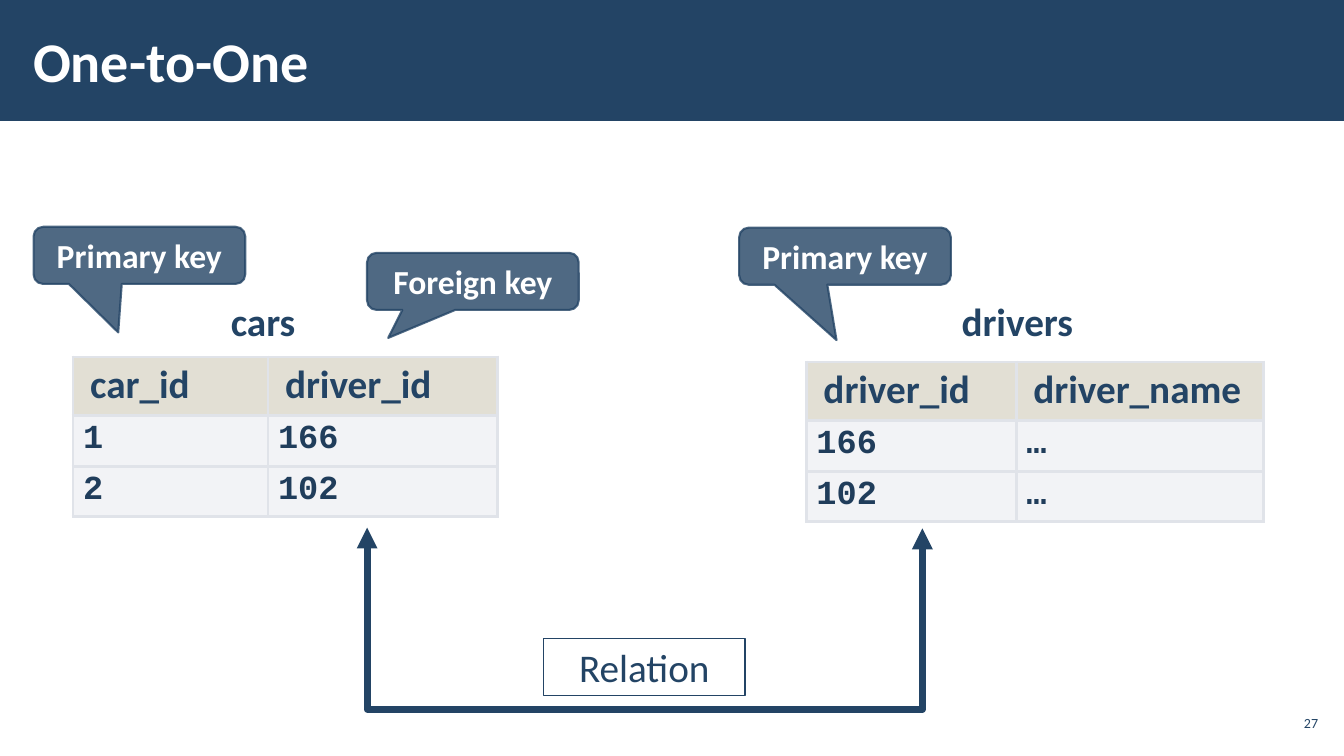
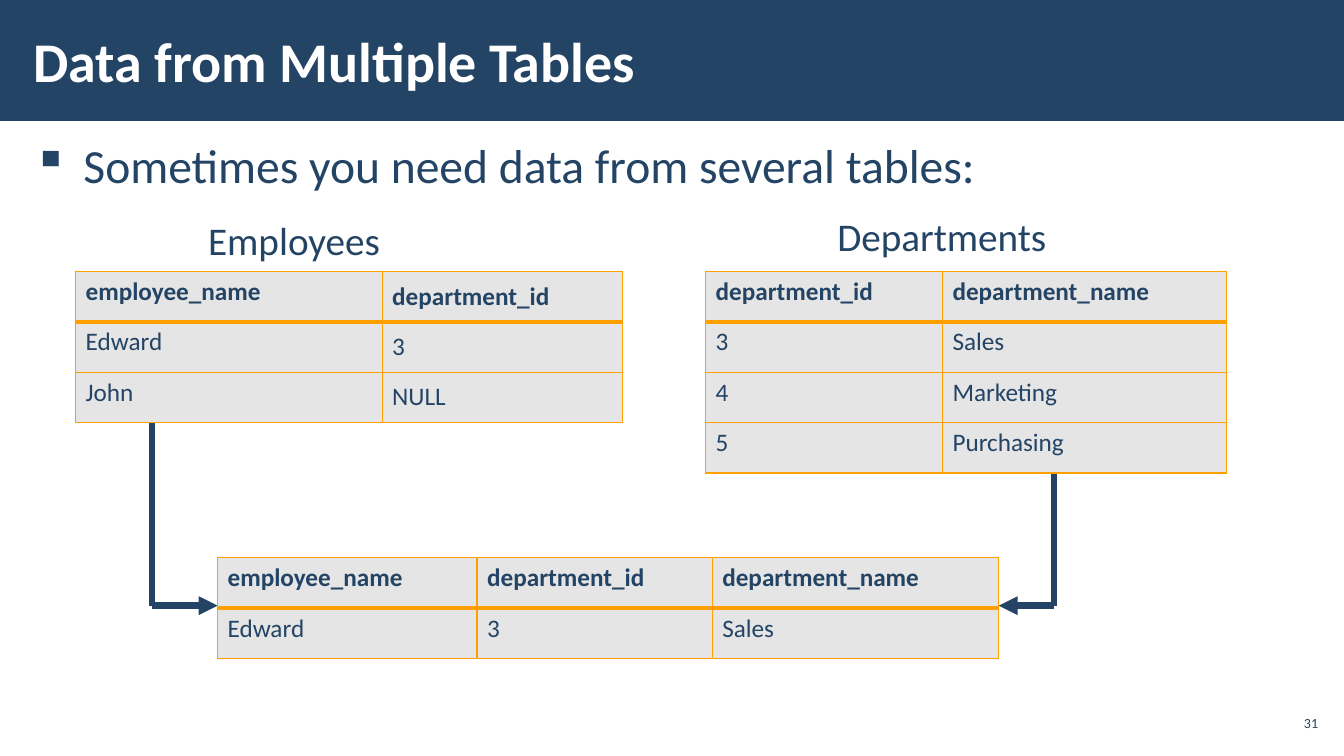
from dataclasses import dataclass

from lxml.etree import SubElement
from pptx import Presentation
from pptx.dml.color import RGBColor
from pptx.enum.shapes import MSO_CONNECTOR, MSO_SHAPE
from pptx.enum.text import MSO_ANCHOR, PP_ALIGN
from pptx.oxml.ns import qn
from pptx.util import Emu, Inches, Pt

# The slide is a grid of 160 columns by 90 rows of square cells
COLS, ROWS = 160, 90
SLIDE_H = Inches(7.5)
CELL = SLIDE_H // ROWS


@dataclass(frozen=True)
class Theme:
    navy: str = "234465"
    code: str = "203D5B"
    white: str = "FFFFFF"
    orange: str = "FFA000"
    grey: str = "808080"
    sand: str = "C6C0AA"
    mist: str = "C2C7D2"
    rule: str = "E0E3E9"
    font: str = "Calibri"
    mono: str = "Courier New"
    title: int = 40
    body: int = 34
    label: int = 28
    callout: int = 24
    cell: int = 18
    number: int = 10


T = Theme()


@dataclass(frozen=True)
class Box:
    x: float
    y: float
    w: float
    h: float = 6.8

    def emu(self) -> tuple:
        return tuple(u(v) for v in (self.x, self.y, self.w, self.h))


@dataclass(frozen=True)
class Font:
    size: int
    color: str = T.navy
    bold: bool = False
    name: str = T.font


@dataclass(frozen=True)
class TableStyle:
    head: Font
    body: Font
    head_fill: tuple
    body_fill: tuple
    border: str
    width: float
    head_rule: float
    rows: tuple
    head_inset: float = 0.1
    head_spacing: float = 1.0


@dataclass(frozen=True)
class Grid:
    x: float
    y: float
    cols: tuple
    cells: tuple
    middle: tuple = ()


@dataclass(frozen=True)
class Callout:
    text: str
    x: float
    y: float
    tip: tuple


KEYS = TableStyle(Font(T.label, bold=True), Font(T.callout, T.code, True, T.mono),
                  (T.sand, 50), (T.mist, 20), T.rule, 2.25, 2.25, (7, 5.64), 0.17, 0.95)
DATA = TableStyle(Font(T.cell, bold=True), Font(T.cell),
                  (T.grey, 20), (T.grey, 20), T.orange, 1, 3, (6, 6))


def u(n: float) -> Emu:
    return Emu(round(n * CELL))


def rgb(color: str) -> RGBColor:
    return RGBColor.from_string(color)


def set_alpha(el, percent: int) -> None:
    for clr in el.iter(qn("a:srgbClr")):
        SubElement(clr, qn("a:alpha"), val=str(percent * 1000))


def write(tf, text: str, font: Font, align=PP_ALIGN.LEFT):
    p = tf.paragraphs[0]
    p.alignment = align
    r = p.add_run()
    r.text = text
    f = r.font
    f.name, f.size, f.bold = font.name, Pt(font.size), font.bold
    f.color.rgb = rgb(font.color)
    return p


def add_text(s, box: Box, text: str, font: Font, align=PP_ALIGN.LEFT, wrap=True,
             anchor=MSO_ANCHOR.TOP, inset=(0.1, 0.05)):
    tf = s.shapes.add_textbox(*box.emu()).text_frame
    tf.word_wrap = wrap
    tf.vertical_anchor = anchor
    tf.margin_left = tf.margin_right = Inches(inset[0])
    tf.margin_top = tf.margin_bottom = Inches(inset[1])
    return write(tf, text, font, align)


def add_box(shapes, kind, box: Box, fill: str = "", line: float = 0):
    sp = shapes.add_shape(kind, *box.emu())
    sp.shadow.inherit = False
    if fill:
        sp.fill.solid()
        sp.fill.fore_color.rgb = rgb(fill)
    else:
        sp.fill.background()
    if line:
        sp.line.color.rgb = rgb(T.navy)
        sp.line.width = Pt(line)
    else:
        sp.line.fill.background()
    return sp


def add_line(shapes, kind, start: tuple, end: tuple, width: float, heads: tuple = ()):
    cx = shapes.add_connector(kind, *(u(v) for v in start + end))
    cx.line.color.rgb = rgb(T.navy)
    cx.line.width = Pt(width)
    for head in heads:
        SubElement(cx.line._get_or_add_ln(), qn(f"a:{head}"), type="triangle")
    SubElement(cx._element.spPr, qn("a:effectLst"))
    return cx


def add_relation(s, start: tuple, end: tuple, bottom: float, box: Box) -> None:
    """U-shaped arrow between two columns, with its label."""
    shapes = s.shapes.add_group_shape().shapes
    drop, span = end[1] - start[1], end[0] - start[0]
    mid_x, mid_y = (start[0] + end[0]) / 2, (start[1] + end[1]) / 2
    cx = add_line(shapes, MSO_CONNECTOR.ELBOW,
                  (mid_x - drop / 2, mid_y - span / 2), (mid_x + drop / 2, mid_y + span / 2),
                  5, ("headEnd", "tailEnd"))
    # A quarter turn lets the elbow leave both ends downwards
    xfrm = cx._element.spPr.find(qn("a:xfrm"))
    xfrm.set("rot", str(270 * 60000))
    xfrm.set("flipH", "1")
    guides = cx._element.spPr.find(qn("a:prstGeom")).find(qn("a:avLst"))
    depth = round((bottom - start[1]) / drop * 100000)
    SubElement(guides, qn("a:gd"), name="adj1", fmla=f"val {depth}")
    sp = add_box(shapes, MSO_SHAPE.RECTANGLE, box, line=0.75)
    write(sp.text_frame, "Relation", Font(T.label), PP_ALIGN.CENTER)


def add_callout(s, c: Callout) -> None:
    sp = add_box(s.shapes, MSO_SHAPE.ROUNDED_RECTANGULAR_CALLOUT,
                 Box(c.x, c.y, 25.2), T.navy, 1.5)
    for i, value in enumerate(c.tip + (0.167,)):
        sp.adjustments[i] = value
    set_alpha(sp._element.spPr, 80)
    sp.text_frame.vertical_anchor = MSO_ANCHOR.MIDDLE
    write(sp.text_frame, c.text, Font(T.callout, T.white, True), PP_ALIGN.CENTER)


def set_borders(tc_pr, color: str, widths: dict) -> None:
    for side, width in widths.items():
        ln = SubElement(tc_pr, qn(f"a:ln{side}"), w=str(Pt(width)))
        SubElement(SubElement(ln, qn("a:solidFill")), qn("a:srgbClr"), val=color)


def add_grid(s, g: Grid, st: TableStyle) -> None:
    n = len(g.cells)
    heights = (st.rows[0],) + (st.rows[1],) * (n - 1)
    box = Box(g.x, g.y, sum(g.cols), sum(heights))
    tbl = s.shapes.add_table(n, len(g.cols), *box.emu()).table
    tbl.first_row = tbl.horz_banding = False
    for col, width in zip(tbl.columns, g.cols):
        col.width = u(width)
    for i, (row, height) in enumerate(zip(tbl.rows, heights)):
        row.height = u(height)
        for j, cell in enumerate(row.cells):
            widths = dict.fromkeys("LRTB", st.width)
            if i < 2:
                widths["T" if i else "B"] = st.head_rule
            tc_pr = cell._tc.get_or_add_tcPr()
            set_borders(tc_pr, st.border, widths)
            color, opacity = st.body_fill if i else st.head_fill
            cell.fill.solid()
            cell.fill.fore_color.rgb = rgb(color)
            set_alpha(tc_pr.find(qn("a:solidFill")), opacity)
            cell.margin_left = cell.margin_right = Inches(0.1 if i else st.head_inset)
            cell.vertical_anchor = MSO_ANCHOR.MIDDLE if j in g.middle else MSO_ANCHOR.TOP
            p = write(cell.text_frame, g.cells[i][j], st.body if i else st.head)
            if not i:
                p.line_spacing = st.head_spacing


def add_slide(prs, title: str, number: int):
    s = prs.slides.add_slide(prs.slide_layouts[6])
    add_box(s.shapes, MSO_SHAPE.RECTANGLE, Box(0, 0, COLS, 14.4), T.navy)
    add_text(s, Box(2.5, 1.3, 124.7, 11.6), title, Font(T.title, T.white, True),
             anchor=MSO_ANCHOR.MIDDLE, inset=(0.12, 0.04))
    add_text(s, Box(151.8, 84, 5.6, 4.1), str(number), Font(T.number), PP_ALIGN.RIGHT,
             anchor=MSO_ANCHOR.MIDDLE, inset=(0.04, 0.04))
    return s


def one_to_one(prs) -> None:
    s = add_slide(prs, "One-to-One", 27)
    for name, x, w in (("cars", 26.3, 10.2), ("drivers", 113.3, 15.8)):
        add_text(s, Box(x, 34.8, w), name, Font(T.label, bold=True), wrap=False)
    for c in (Callout("Primary key", 4, 27, (-0.1, 1.35)),
              Callout("Foreign key", 43.7, 30.1, (-0.4, 0.99)),
              Callout("Primary key", 88, 27.1, (-0.04, 1.47))):
        add_callout(s, c)
    add_relation(s, (43.7, 62.8), (109.8, 62.9), 84.6, Box(64.7, 76, 24))
    for g in (Grid(8.7, 42.5, (23.2, 27.3),
                   (("car_id", "driver_id"), ("1", "166"), ("2", "102"))),
              Grid(96, 43.1, (25, 29.4),
                   (("driver_id", "driver_name"), ("166", "…"), ("102", "…")))):
        add_grid(s, g, KEYS)


def multiple_tables(prs) -> None:
    s = add_slide(prs, "Data from Multiple Tables", 31)
    # Arrows from both tables to the joined one
    for x, top, tip in ((125.5, 56.3, 118.9), (18.1, 50.3, 25.9)):
        add_line(s.shapes, MSO_CONNECTOR.STRAIGHT, (x, top), (x, 72.2), 4.5)
        add_line(s.shapes, MSO_CONNECTOR.STRAIGHT, (x, 72.1), (tip, 72.1), 4.5, ("tailEnd",))
    # Bullet
    p = add_text(s, Box(2.5, 15.7, 155, 68.3), "Sometimes you need data from several tables:",
                 Font(T.body), inset=(0.12, 0.04))
    p.space_before = p.space_after = Pt(6)
    p_pr = p._p.get_or_add_pPr()
    p_pr.set("marL", str(Inches(0.5)))
    p_pr.set("indent", str(-Inches(0.5)))
    SubElement(p_pr, qn("a:buChar"), char="▪")
    # Tables and their names
    for name, x, y, w in (("Employees", 23.6, 25.1, 23), ("Departments", 98.5, 24.7, 27.6)):
        add_text(s, Box(x, y, w), name, Font(T.label), wrap=False)
    for g in (Grid(9, 32.3, (36.5, 28.6),
                   (("employee_name", "department_id"), ("Edward", "3"), ("John", "NULL")), (1,)),
              Grid(84, 32.3, (28.2, 33.8),
                   (("department_id", "department_name"),
                    ("3", "Sales"), ("4", "Marketing"), ("5", "Purchasing"))),
              Grid(25.9, 66.4, (30.9, 28, 34.1),
                   (("employee_name", "department_id", "department_name"),
                    ("Edward", "3", "Sales")))):
        add_grid(s, g, DATA)


def main() -> None:
    prs = Presentation()
    prs.slide_width, prs.slide_height = u(COLS), SLIDE_H
    one_to_one(prs)
    multiple_tables(prs)
    prs.save("out.pptx")


if __name__ == "__main__":
    main()
